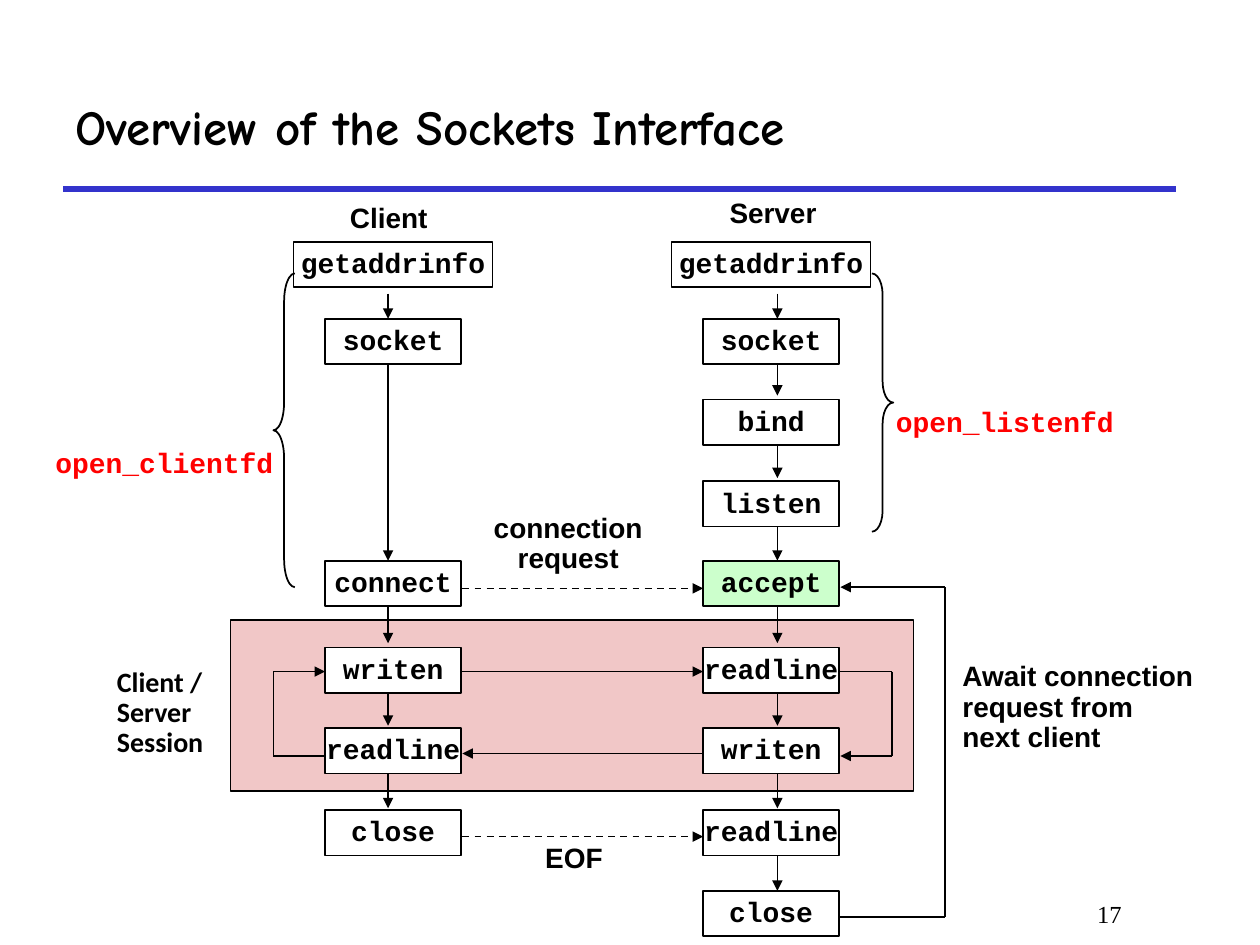
"""Builds a slide that shows the call sequence of the sockets interface."""
from itertools import pairwise

from lxml import etree
from pptx import Presentation
from pptx import util as u
from pptx.dml.color import RGBColor
from pptx.enum import dml, shapes, text
from pptx.oxml import ns

COLORS = {"ink": "000000", "rule": "3333CC", "box": "FFFFFF",
          "accept": "CCFFCC", "session": "F1C7C7", "helper": "FF0000"}
CODE, LABEL = "Courier New", "Arial"
CLIENT, SERVER = 2.58, 5.58
CLIENT_AXIS, SERVER_AXIS = 3.08, 6.17
BOX_WIDTH, BOX_HEIGHT = 1.08, 0.36
CLIENT_EDGE, SERVER_EDGE = 3.67, 6.67
ROWS = [1.92, 2.53, 3.17, 3.82, 4.45, 5.14, 5.78, 6.43, 7.07]
ARROW_TOP, ARROW_BOTTOM, ARROW_STEPS, ARROW_LENGTH = 2.85, 6.78, 6, 0.29
LINE_WIDTH = 0.99


def color(name):
    """Return the named colour."""
    return RGBColor.from_string(COLORS[name])


def inches(*lengths):
    """Convert lengths to slide units."""
    return [u.Inches(length) for length in lengths]


def write(shape, words, font, size=16, ink="ink", align=text.PP_ALIGN.CENTER,
          wrap=False, bold=True, spacing=0.9):
    """Fill a shape with formatted text."""
    frame = shape.text_frame
    frame.text = words
    frame.word_wrap = wrap
    frame.vertical_anchor = text.MSO_ANCHOR.MIDDLE
    for paragraph in frame.paragraphs:
        paragraph.alignment = align
        paragraph.line_spacing = spacing
        for run in paragraph.runs:
            run.font.name = font
            run.font.size = u.Pt(size)
            run.font.bold = bold
            run.font.color.rgb = color(ink)


def add_label(slide, area, words, font=LABEL, **style):
    """Add a text label."""
    write(slide.shapes.add_textbox(*inches(*area)), words, font, **style)


def add_outline(slide, kind, area, fill=None):
    """Add a thin outlined shape."""
    shape = slide.shapes.add_shape(kind, *inches(*area))
    shape.shadow.inherit = False
    shape.line.color.rgb = color("ink")
    shape.line.width = u.Pt(LINE_WIDTH)
    if fill:
        shape.fill.solid()
        shape.fill.fore_color.rgb = color(fill)
    else:
        shape.fill.background()
    return shape


def add_call(slide, left, top, name, width=BOX_WIDTH, fill="box"):
    """Add a box with a function name."""
    area = (left, top, width, BOX_HEIGHT)
    write(add_outline(slide, shapes.MSO_SHAPE.RECTANGLE, area, fill), name, CODE)


def add_route(slide, *points, arrow=True, dashed=False, ink="ink", width=LINE_WIDTH):
    """Join points with straight lines, with an arrowhead at the last point."""
    for start, end in pairwise(points):
        line = slide.shapes.add_connector(
            shapes.MSO_CONNECTOR.STRAIGHT, *inches(*start, *end))
        line.line.color.rgb = color(ink)
        line.line.width = u.Pt(width)
        if dashed:
            line.line.dash_style = dml.MSO_LINE.DASH
        if arrow and end == points[-1]:
            etree.SubElement(line.line._get_or_add_ln(), ns.qn("a:tailEnd"),
                             type="triangle")
        etree.SubElement(line._element.spPr, ns.qn("a:effectLst"))


def add_brace(slide, kind, area, curve):
    """Add a brace with the given curve size."""
    add_outline(slide, kind, area).adjustments[0] = curve


def add_heading(slide):
    """Set the title, the rule below it and the slide number."""
    title = slide.shapes.title
    title.left, title.top, title.width, title.height = inches(0.5, 0.5, 8.83, 1)
    write(title, "Overview of the Sockets Interface", "Comic Neue", size=28,
          align=text.PP_ALIGN.LEFT, wrap=True, spacing=1.0)
    add_route(slide, (0.5, 1.5), (9.33, 1.5), arrow=False, ink="rule", width=3)
    add_label(slide, (7.58, 7, 1.42, 0.5), "17", "Times New Roman", size=14,
              align=text.PP_ALIGN.RIGHT, wrap=True, bold=False, spacing=1.0)


def add_session(slide):
    """Add the session band with its two loops."""
    add_outline(slide, shapes.MSO_SHAPE.RECTANGLE, (1.83, 4.92, 5.42, 1.36), "session")
    add_route(slide, (SERVER_EDGE, 5.33), (7.08, 5.33), (7.08, 6), (SERVER_EDGE, 6))
    add_route(slide, (CLIENT, 6), (2.17, 6), (2.17, 5.33), (CLIENT, 5.33))
    add_label(slide, (0.83, 5.25, 0.92, 0.82), "Client / Server\nSession", "Calibri",
              align=text.PP_ALIGN.LEFT, wrap=True)


def add_flow(slide):
    """Add the arrows within and between the two columns."""
    for axis in (CLIENT_AXIS, SERVER_AXIS):
        add_route(slide, (axis, 2.33), (axis, ROWS[1]))
    add_route(slide, (CLIENT_AXIS, ARROW_TOP), (CLIENT_AXIS, ROWS[4]))
    pitch = (ARROW_BOTTOM - ARROW_TOP) / ARROW_STEPS
    for axis, steps in ((CLIENT_AXIS, range(3, 6)), (SERVER_AXIS, range(7))):
        for step in steps:
            top = ARROW_TOP + step * pitch
            add_route(slide, (axis, top), (axis, top + ARROW_LENGTH))
    for level in (4.67, 6.64):
        add_route(slide, (CLIENT_EDGE, level), (SERVER, level), dashed=True)
    add_route(slide, (CLIENT_EDGE, 5.33), (SERVER, 5.33))
    add_route(slide, (SERVER, 5.98), (CLIENT_EDGE, 5.98))
    add_route(slide, (SERVER_EDGE, 7.28), (7.5, 7.28), (7.5, 4.66), (SERVER_EDGE, 4.66))


def add_calls(slide):
    """Add the function boxes of the client and the server."""
    client = {1: "socket", 4: "connect", 5: "writen", 6: "readline", 7: "close"}
    server = ["socket", "bind", "listen", "accept", "readline", "writen",
              "readline", "close"]
    for left in (CLIENT, SERVER):
        add_call(slide, left - 0.25, ROWS[0], "getaddrinfo", width=1.58)
    for row, name in client.items():
        add_call(slide, CLIENT, ROWS[row], name)
    for top, name in zip(ROWS[1:], server):
        add_call(slide, SERVER, top, name, fill="accept" if name == "accept" else "box")


def add_notes_around(slide):
    """Add the column heads, the message labels and the braces."""
    add_label(slide, (2.58, 1.57, 1.01, 0.34), "Client")
    add_label(slide, (5.63, 1.53, 1.01, 0.34), "Server")
    add_label(slide, (3.76, 4.03, 1.5, 0.58), "connection\nrequest")
    add_label(slide, (4.13, 6.65, 0.85, 0.34), "EOF")
    add_label(slide, (7.54, 5.21, 2.1, 0.82),
              "Await connection\nrequest from\nnext client", align=text.PP_ALIGN.LEFT)
    add_brace(slide, shapes.MSO_SHAPE.RIGHT_BRACE, (6.92, 2.17, 0.17, 2.05), 0.98)
    add_brace(slide, shapes.MSO_SHAPE.LEFT_BRACE, (2.17, 2.17, 0.17, 2.49), 1.3)
    for left, top, name in ((7.01, 3.19, "open_listenfd"), (0.34, 3.52, "open_clientfd")):
        add_label(slide, (left, top, 1.93, 0.34), name, CODE, ink="helper", wrap=True)


def main():
    """Build and save the slide."""
    deck = Presentation()
    deck.slide_width, deck.slide_height = inches(10, 7.5)
    slide = deck.slides.add_slide(deck.slide_layouts[5])
    add_heading(slide)
    add_session(slide)
    add_flow(slide)
    add_calls(slide)
    add_notes_around(slide)
    deck.save("out.pptx")


main()
